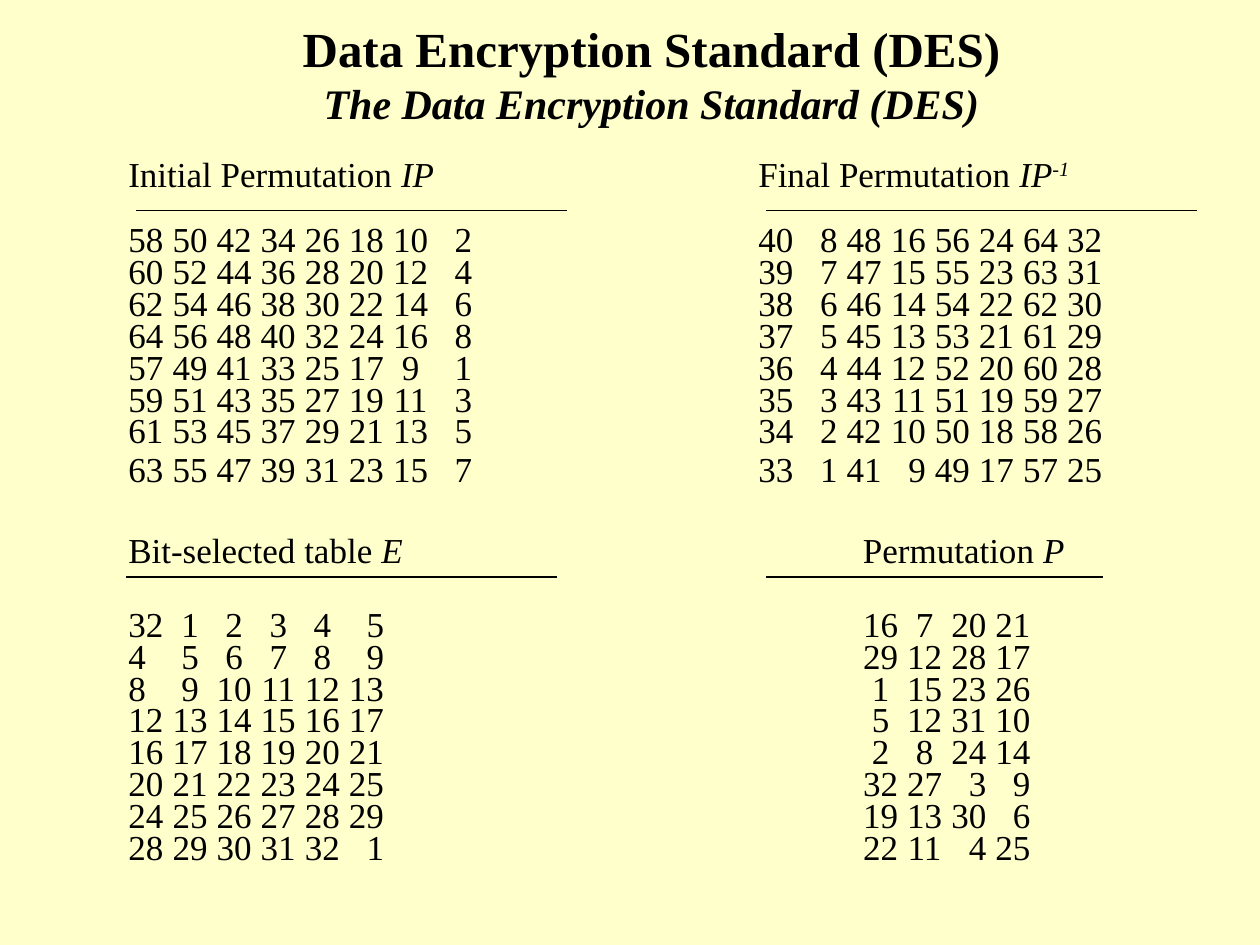
import pptx
import pptx.util
import pptx.dml.color
import pptx.enum.shapes
import pptx.enum.text
import pptx.oxml.ns
from lxml import etree

Inches, Pt = pptx.util.Inches, pptx.util.Pt
FONT = "Times New Roman"
COLORS = {"background": "FFFFCC", "ink": "000000"}

# Column starts inside the text, and the geometry of two-digit columns
LEFT, RIGHT, RIGHT_INDENTED = 0.83, 5.83, 6.66
PITCH = 0.35
ALIGN_SHIFT = {"l": 0, "ctr": 0.14, "r": 0.28}

# Space before paragraphs, in points
ROW_GAP = 6.2
AFTER_HEADING_GAP = 24.4
SECTION_GAP = 29.6
AFTER_SECTION_GAP = 29

INITIAL = """58 50 42 34 26 18 10 2
60 52 44 36 28 20 12 4
62 54 46 38 30 22 14 6
64 56 48 40 32 24 16 8
57 49 41 33 25 17 9 1
59 51 43 35 27 19 11 3
61 53 45 37 29 21 13 5
63 55 47 39 31 23 15 7"""
FINAL = """40 8 48 16 56 24 64 32
39 7 47 15 55 23 63 31
38 6 46 14 54 22 62 30
37 5 45 13 53 21 61 29
36 4 44 12 52 20 60 28
35 3 43 11 51 19 59 27
34 2 42 10 50 18 58 26
33 1 41 9 49 17 57 25"""
BIT_SELECTION = """32 1 2 3 4 5
4 5 6 7 8 9
8 9 10 11 12 13
12 13 14 15 16 17
16 17 18 19 20 21
20 21 22 23 24 25
24 25 26 27 28 29
28 29 30 31 32 1"""
PERMUTATION = """16 7 20 21
29 12 28 17
1 15 23 26
5 12 31 10
2 8 24 14
32 27 3 9
19 13 30 6
22 11 4 25"""


def color(name):
    return pptx.dml.color.RGBColor.from_string(COLORS[name])


def place(holder, left, top, width, height, wrap):
    holder.left, holder.top = Inches(left), Inches(top)
    holder.width, holder.height = Inches(width), Inches(height)
    frame = holder.text_frame
    frame.word_wrap = wrap
    frame.auto_size = pptx.enum.text.MSO_AUTO_SIZE.NONE
    frame.vertical_anchor = pptx.enum.text.MSO_ANCHOR.TOP
    return frame


def next_paragraph(frame):
    first = frame.paragraphs[0]
    return frame.add_paragraph() if first.runs else first


def style(paragraph, size, gap, spacing, bold=False):
    paragraph.space_before = Pt(gap)
    paragraph.line_spacing = spacing
    paragraph.font.name = FONT
    paragraph.font.size = Pt(size)
    paragraph.font.bold = bold
    paragraph.font.color.rgb = color("ink")


def set_tabs(paragraph, stops):
    """Set (position, alignment) tab stops."""
    qn = pptx.oxml.ns.qn
    tabs = etree.SubElement(paragraph._p.get_or_add_pPr(), qn("a:tabLst"))
    for position, align in stops:
        etree.SubElement(tabs, qn("a:tab"), pos=str(Inches(position)), algn=align)


def add_heading(frame, parts, right, gap):
    """parts holds (text, italic, superscript)."""
    heading = next_paragraph(frame)
    set_tabs(heading, [(LEFT, "l"), (right, "l")])
    style(heading, 20, gap, 0.7)
    for text, italic, superscript in parts:
        run = heading.add_run()
        run.text = text
        run.font.italic = italic
        if superscript:
            run.font._element.set("baseline", "30000")


def column_stops(start, aligns):
    return [(start + i * PITCH + ALIGN_SHIFT[a], a) for i, a in enumerate(aligns)]


def add_rows(frame, left_rows, right_rows, stops, first_gap, last_spacing):
    pairs = list(zip(left_rows.splitlines(), right_rows.splitlines()))
    for i, pair in enumerate(pairs):
        row = next_paragraph(frame)
        set_tabs(row, stops)
        last = i == len(pairs) - 1
        style(row, 20, ROW_GAP if i else first_gap, last_spacing if last else 0.5)
        row.add_run().text = "".join("\t" + n for n in " ".join(pair).split())


def add_rule(slide, left, right, y):
    rule = slide.shapes.add_connector(
        pptx.enum.shapes.MSO_CONNECTOR.STRAIGHT,
        Inches(left), Inches(y), Inches(right), Inches(y))
    rule.line.color.rgb = color("ink")
    rule.line.width = Pt(1)
    etree.SubElement(rule._element.spPr, pptx.oxml.ns.qn("a:effectLst"))


def add_titles(slide):
    frame = place(slide.shapes.title, 2.11, 0.1, 6.12, 0.96, False)
    for text, size, italic in [("Data Encryption Standard (DES)", 28, False),
                               ("The Data Encryption Standard (DES)", 24, True)]:
        line = next_paragraph(frame)
        line.alignment = pptx.enum.text.PP_ALIGN.CENTER
        style(line, size, 0, 1.0, bold=True)
        line.font.italic = italic
        line.add_run().text = text


def add_tables(slide):
    box = slide.shapes.add_textbox(0, 0, 0, 0)
    frame = place(box, 0.09, 1.25, 9.83, 5.67, True)

    # Initial and final permutations
    add_heading(frame, [("\tInitial Permutation ", False, False),
                        ("IP", True, False),
                        ("\tFinal Permutation ", False, False),
                        ("IP", True, False), ("-1", True, True)], RIGHT, 0)
    stops = (column_stops(LEFT, ["l"] + ["ctr"] * 6 + ["r"])
             + column_stops(RIGHT, ["l"] + ["r"] * 7))
    add_rows(frame, INITIAL, FINAL, stops, AFTER_HEADING_GAP, 0.7)

    # Bit selection and permutation
    add_heading(frame, [("\tBit-selected table ", False, False),
                        ("E", True, False),
                        ("\tPermutation ", False, False),
                        ("P", True, False)], RIGHT_INDENTED, SECTION_GAP)
    stops = (column_stops(LEFT, ["l"] + ["ctr"] * 4 + ["r"])
             + column_stops(RIGHT_INDENTED, ["ctr", "ctr", "r", "r"]))
    add_rows(frame, BIT_SELECTION, PERMUTATION, stops, AFTER_SECTION_GAP, 0.5)


def main():
    deck = pptx.Presentation()
    deck.slide_width, deck.slide_height = Inches(10), Inches(7.5)
    slide = deck.slides.add_slide(deck.slide_layouts[5])
    slide.background.fill.solid()
    slide.background.fill.fore_color.rgb = color("background")

    add_titles(slide)
    add_tables(slide)

    # Rules under the headings
    for left, right, y in [(1.08, 4.5, 1.67), (6.08, 9.5, 1.67),
                           (1, 4.42, 4.58), (6.08, 8.75, 4.58)]:
        add_rule(slide, left, right, y)
    deck.save("out.pptx")


main()
